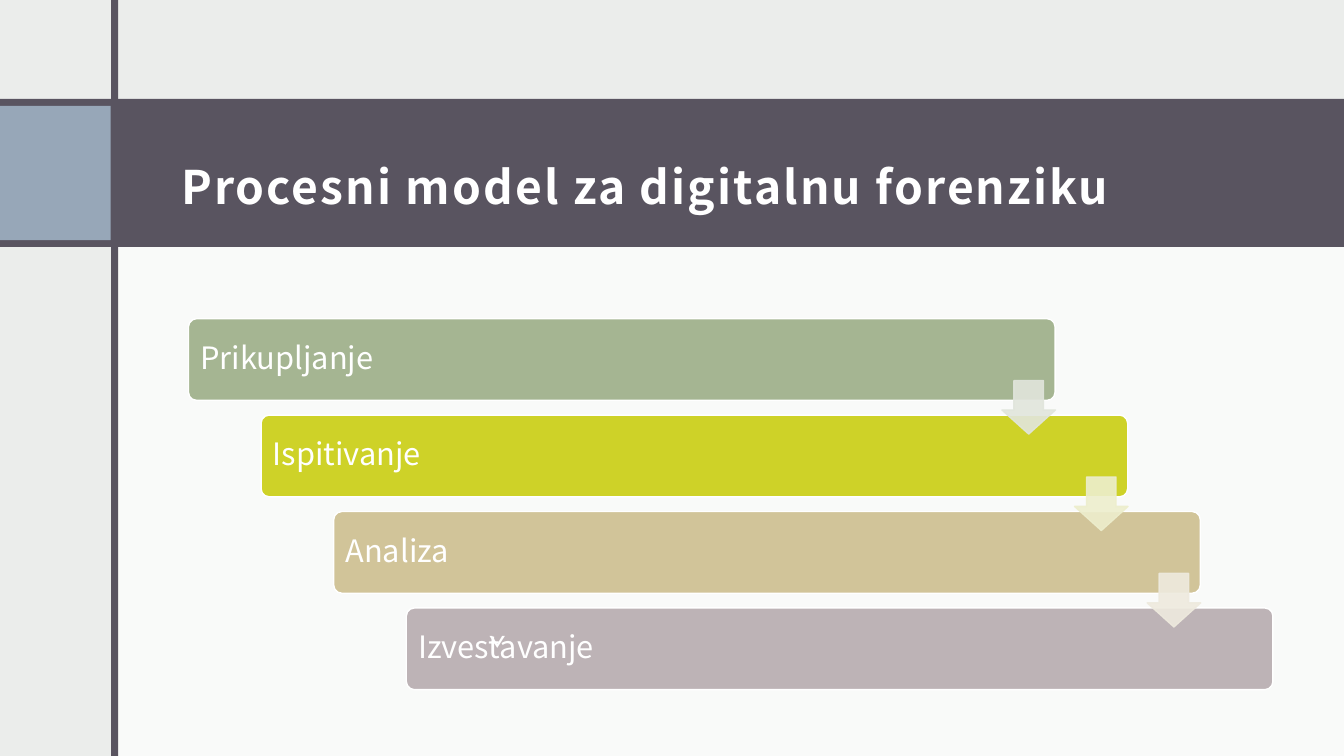
from lxml import etree
from pptx import Presentation
from pptx.dml.color import RGBColor
from pptx.enum.shapes import MSO_SHAPE
from pptx.enum.text import MSO_ANCHOR, PP_ALIGN
from pptx.oxml.ns import qn
from pptx.util import Cm, Pt

RECT = MSO_SHAPE.RECTANGLE
ROUNDED = MSO_SHAPE.ROUNDED_RECTANGLE
DOWN_ARROW = MSO_SHAPE.DOWN_ARROW
MIDDLE = MSO_ANCHOR.MIDDLE
LEFT = PP_ALIGN.LEFT

FONT = "Noto Sans CJK JP"
WHITE, DARK, PALE, BLUE = "FFFFFF", "595460", "EBEDEB", "97A7B8"
SLIDE_W, SLIDE_H = 33.87, 19.05

# Step name, bar colour, colour of the arrow to the next step
STEPS = [
    ("Prikupljanje", "A5B592", "E1E5DC"),
    ("Ispitivanje", "CED228", "EDEECD"),
    ("Analiza", "D1C499", "EEEADE"),
    ("Izveštavanje", "BDB3B6", None),
]
BAR_X, BAR_Y, BAR_W, BAR_H = 4.75, 8.03, 21.84, 2.06
STEP_X, STEP_Y = 1.83, 2.43
ARROW_DX, ARROW_DY, ARROW_SIZE = 20.5, 1.56, 1.35


def paint(fmt, color, alpha=100):
    """Give a fill a solid colour; alpha is its opacity in percent."""
    fmt.solid()
    fmt.fore_color.rgb = RGBColor.from_string(color)
    if alpha < 100:
        clr = fmt._xPr.find(qn("a:solidFill"))[0]
        etree.SubElement(clr, qn("a:alpha"), val=str(alpha * 1000))


def add_block(s, kind, x, y, w, h, color, alpha=100, line=None):
    sp = s.shapes.add_shape(kind, Cm(x), Cm(y), Cm(w), Cm(h))
    sp.shadow.inherit = False
    paint(sp.fill, color, alpha)
    if line:
        sp.line.width = Pt(1)
        paint(sp.line.fill, line, alpha)
    else:
        sp.line.fill.background()
    return sp


def write_text(sp, text, size, spacing, inset, bold=False):
    tf = sp.text_frame
    tf.word_wrap = True
    tf.vertical_anchor = MIDDLE
    tf.margin_left = tf.margin_right = Cm(inset)
    tf.margin_top = tf.margin_bottom = Cm(0.25)
    p = tf.paragraphs[0]
    p.alignment = LEFT
    p.line_spacing = spacing
    r = p.add_run()
    r.text = text
    r.font.name = FONT
    r.font.size = Pt(size)
    r.font.bold = bold
    r.font.color.rgb = RGBColor.from_string(WHITE)
    return r


def add_frame(s):
    paint(s.background.fill, PALE)
    add_block(s, RECT, 2.9, 5.92, SLIDE_W - 2.9, SLIDE_H - 5.92, WHITE, 75)
    add_block(s, RECT, 0, 2.49, SLIDE_W, 3.73, DARK)
    add_block(s, RECT, 0, 2.67, 2.79, 3.38, BLUE)
    add_block(s, RECT, 2.8, 0, 0.18, SLIDE_H, DARK)


def add_title(s, text):
    sp = s.shapes.add_textbox(Cm(4.27), Cm(2.9), Cm(27.81), Cm(2.87))
    r = write_text(sp, text, 33, 1.5, 0.3, bold=True)
    r.font._element.set("spc", "150")


def add_steps(s):
    for i, (name, color, _) in enumerate(STEPS):
        sp = add_block(s, ROUNDED, BAR_X + i * STEP_X, BAR_Y + i * STEP_Y,
                       BAR_W, BAR_H, color, line=WHITE)
        sp.adjustments[0] = 0.1
        write_text(sp, name, 22, 0.9, 0.24)
    for i, (_, _, color) in enumerate(STEPS[:-1]):
        sp = add_block(s, DOWN_ARROW, BAR_X + ARROW_DX + i * STEP_X,
                       BAR_Y + ARROW_DY + i * STEP_Y,
                       ARROW_SIZE, ARROW_SIZE, color, 90, line=color)
        sp.adjustments[0] = 0.55
        sp.adjustments[1] = 0.45


def main():
    prs = Presentation()
    prs.slide_width, prs.slide_height = Cm(SLIDE_W), Cm(SLIDE_H)
    s = prs.slides.add_slide(prs.slide_layouts[6])
    add_frame(s)
    add_title(s, "Procesni model za digitalnu forenziku")
    add_steps(s)
    prs.save("out.pptx")


if __name__ == "__main__":
    main()
